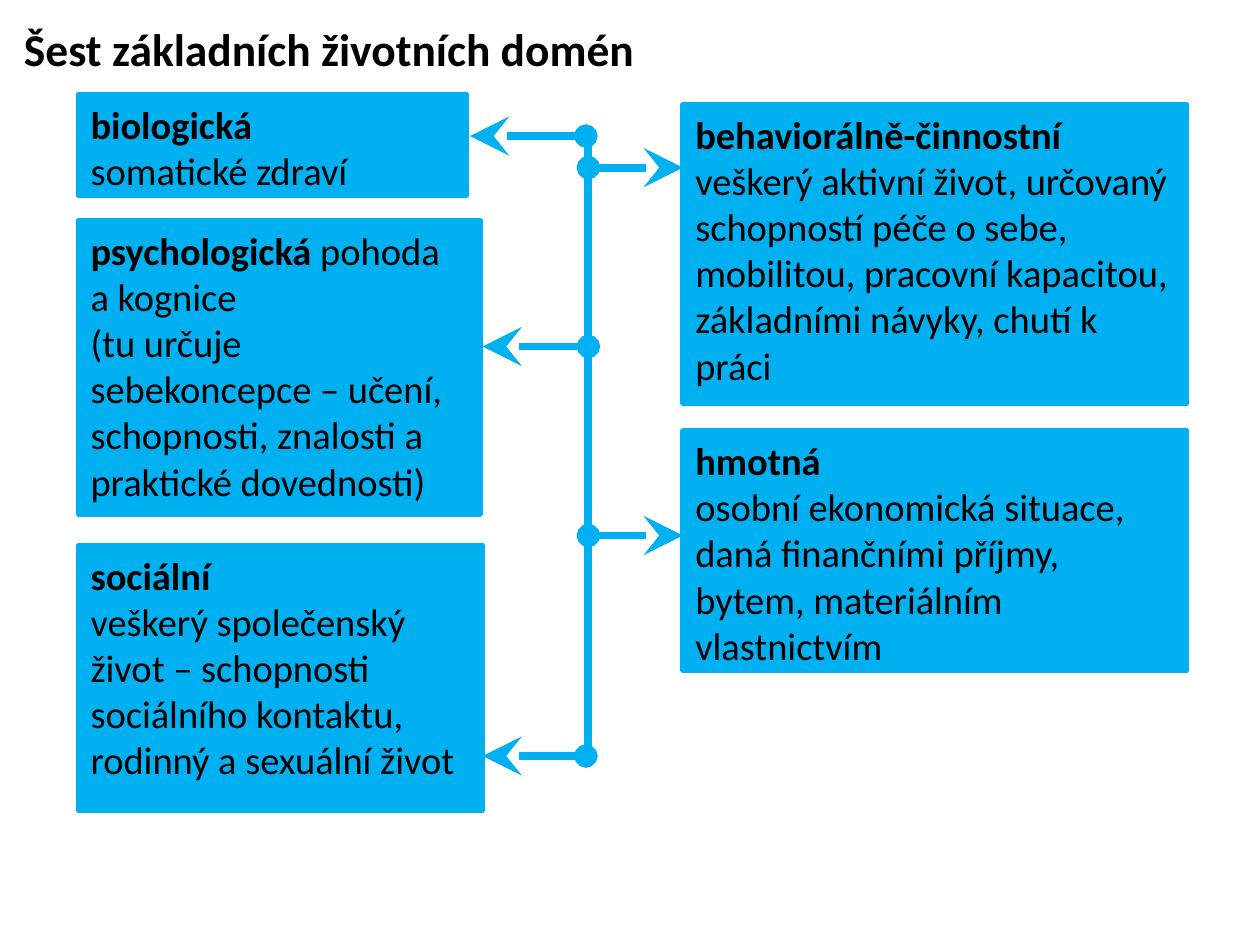
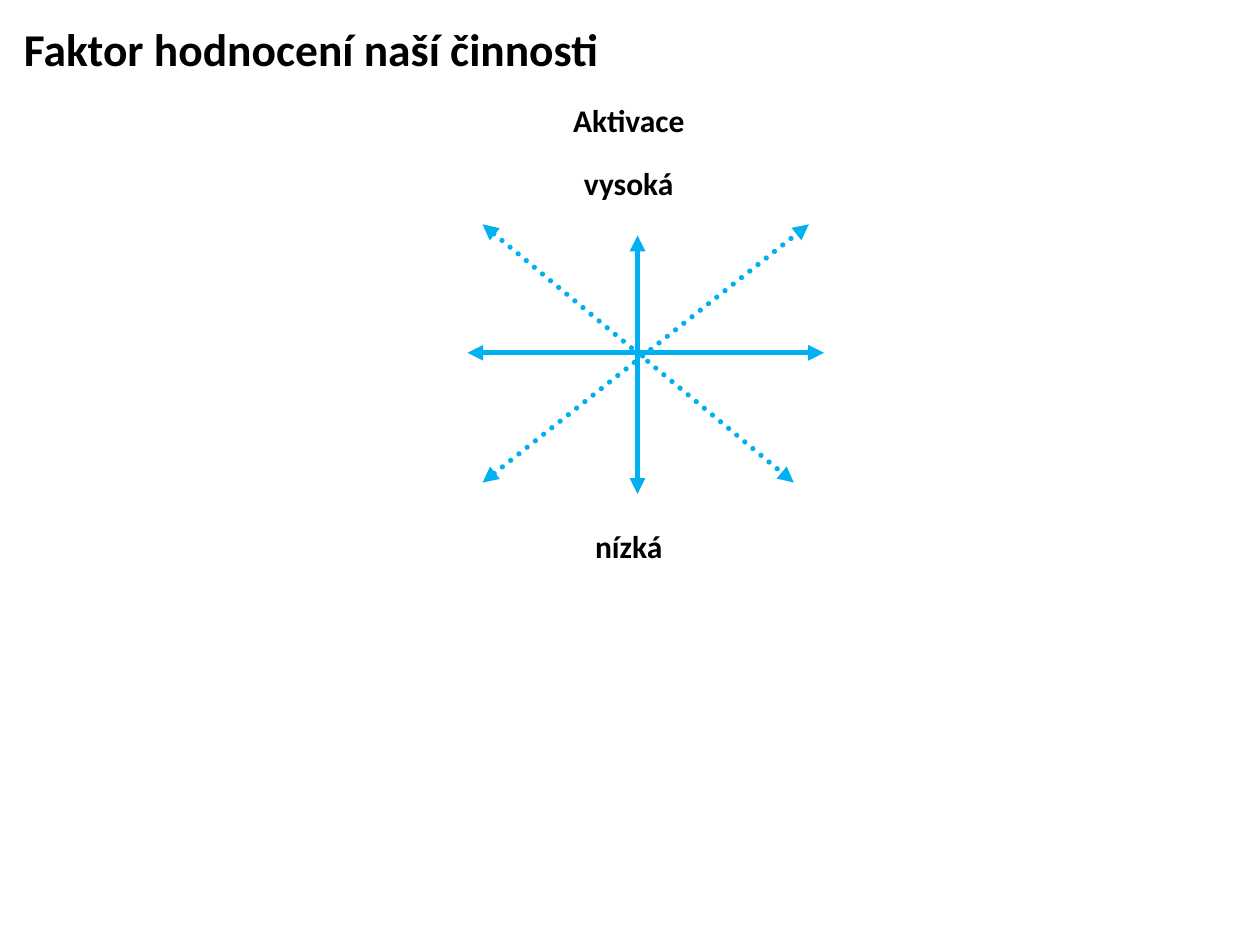
from dataclasses import dataclass
from lxml.etree import SubElement as Sub
from pptx import Presentation
from pptx.dml.color import RGBColor as RGB
from pptx.enum.dml import MSO_LINE as DASH
from pptx.enum.shapes import MSO_CONNECTOR as CONN, MSO_SHAPE as SHAPE
from pptx.enum.text import MSO_ANCHOR as ANCHOR, MSO_AUTO_SIZE as FIT, PP_ALIGN as ALIGN
from pptx.oxml.ns import qn
from pptx.util import Inches, Pt


@dataclass
class Theme:
    font: str = "Calibri"
    ink: RGB = RGB(0, 0, 0)
    blue: RGB = RGB(0x00, 0xB0, 0xF0)
    head: int = 26
    body: int = 22
    label: int = 18
    thin: float = 3
    thick: float = 4.5


theme = Theme()


def style(para, size, bold, align=ALIGN.LEFT):
    font = para.font
    font.name, font.size, font.bold = theme.font, Pt(size), bold
    font.color.rgb = theme.ink
    para.alignment = align


def link(slide, start, end, width, tips=(), dash=None):
    line = slide.shapes.add_connector(CONN.STRAIGHT, *map(Inches, start + end))
    line.line.color.rgb = theme.blue
    line.line.width = Pt(width)
    ln = line.line._get_or_add_ln()
    if dash:
        line.line.dash_style = dash
        ln.set("cap", "rnd")
    for tag, (kind, size) in zip(("a:headEnd", "a:tailEnd"), tips):
        Sub(ln, qn(tag), type=kind, w=size, len=size)
    Sub(line._element.spPr, qn("a:effectLst"))


deck = Presentation()
deck.slide_width, deck.slide_height = Inches(10), Inches(7.5)

# Slides and their titles
pages = []
for text in ("Šest základních životních domén", "Faktor hodnocení naší činnosti"):
    page = deck.slides.add_slide(deck.slide_layouts.get_by_name("Title Only"))
    title = page.shapes.title
    title.left, title.top, title.width, title.height = map(Inches, (0.19, 0.17, 9.65, 0.48))
    frame = title.text_frame
    frame.text = text
    frame.auto_size, frame.vertical_anchor = FIT.NONE, ANCHOR.TOP
    frame.margin_left = frame.margin_right = frame.margin_top = frame.margin_bottom = 0
    style(frame.paragraphs[0], theme.head, True)
    pages.append(page)
domains, factor = pages

# Domain boxes: place, then paragraphs of (bold, plain) text
left, right, spine = 0.62, 5.42, 4.67
boxes = [
    (left, 0.75, 3.08, 0.8, [("biologická", ""), ("", "somatické zdraví")]),
    (left, 1.75, 3.19, 2.33, [
        ("psychologická", " pohoda a kognice"),
        ("", "(tu určuje sebekoncepce – učení, schopnosti, znalosti a praktické dovednosti)")]),
    (left, 4.33, 3.21, 2.1, [
        ("sociální", ""),
        ("", "veškerý společenský život – schopnosti sociálního kontaktu, rodinný a sexuální život")]),
    (right, 0.83, 4, 2.37, [
        ("behaviorálně-činnostní", ""),
        ("", "veškerý aktivní život, určovaný schopností péče o sebe, mobilitou, "
             "pracovní kapacitou, základními návyky, chutí k práci")]),
    (right, 3.42, 4, 1.9, [
        ("hmotná", ""),
        ("", "osobní ekonomická situace, daná finančními příjmy, bytem, materiálním vlastnictvím")]),
]
for x, y, w, h, paras in boxes:
    box = domains.shapes.add_shape(SHAPE.RECTANGLE, *map(Inches, (x, y, w, h)))
    box.shadow.inherit = False
    box.fill.solid()
    box.fill.fore_color.rgb = box.line.color.rgb = theme.blue
    box.line.width = Pt(theme.thin)
    frame = box.text_frame
    frame.word_wrap, frame.vertical_anchor = True, ANCHOR.TOP
    frame.margin_right = Inches(0.18 if x == left else 0.1)
    for i, (strong, plain) in enumerate(paras):
        para = frame.add_paragraph() if i else frame.paragraphs[0]
        style(para, theme.body, False)
        for text, bold in ((strong, True), (plain, False)):
            if text:
                run = para.add_run()
                run.text, run.font.bold = text, bold

# Spine with one arrow to each box
tips = (("oval", "med"), ("stealth", "lg"))
for start, end, y in ((4.65, 3.73, 1.08), (spine, 3.83, 2.75), (spine, right, 4.25),
                      (4.65, 3.83, 6), (spine, right, 1.33)):
    link(domains, (start, y), (end, y), theme.thick, tips)
link(domains, (spine, 1.08), (spine, 6), theme.thick)

# Axis labels
for text, y in (("Aktivace", 0.75), ("vysoká", 1.25), ("nízká", 4.13)):
    frame = factor.shapes.add_textbox(*map(Inches, (0.88, y, 8.22, 0.4))).text_frame
    frame.word_wrap = True
    frame.text = text
    style(frame.paragraphs[0], theme.label, True, ALIGN.CENTER)

# Solid axes and dotted diagonals
tips = (("triangle", "med"),) * 2
for start, end, dash in (((5.06, 1.87), (5.06, 3.92), None),
                         ((3.71, 2.8), (6.54, 2.8), None),
                         ((3.83, 1.78), (6.3, 3.83), DASH.ROUND_DOT),
                         ((3.83, 3.83), (6.42, 1.78), DASH.ROUND_DOT)):
    link(factor, start, end, theme.thin, tips, dash)

deck.save("out.pptx")
